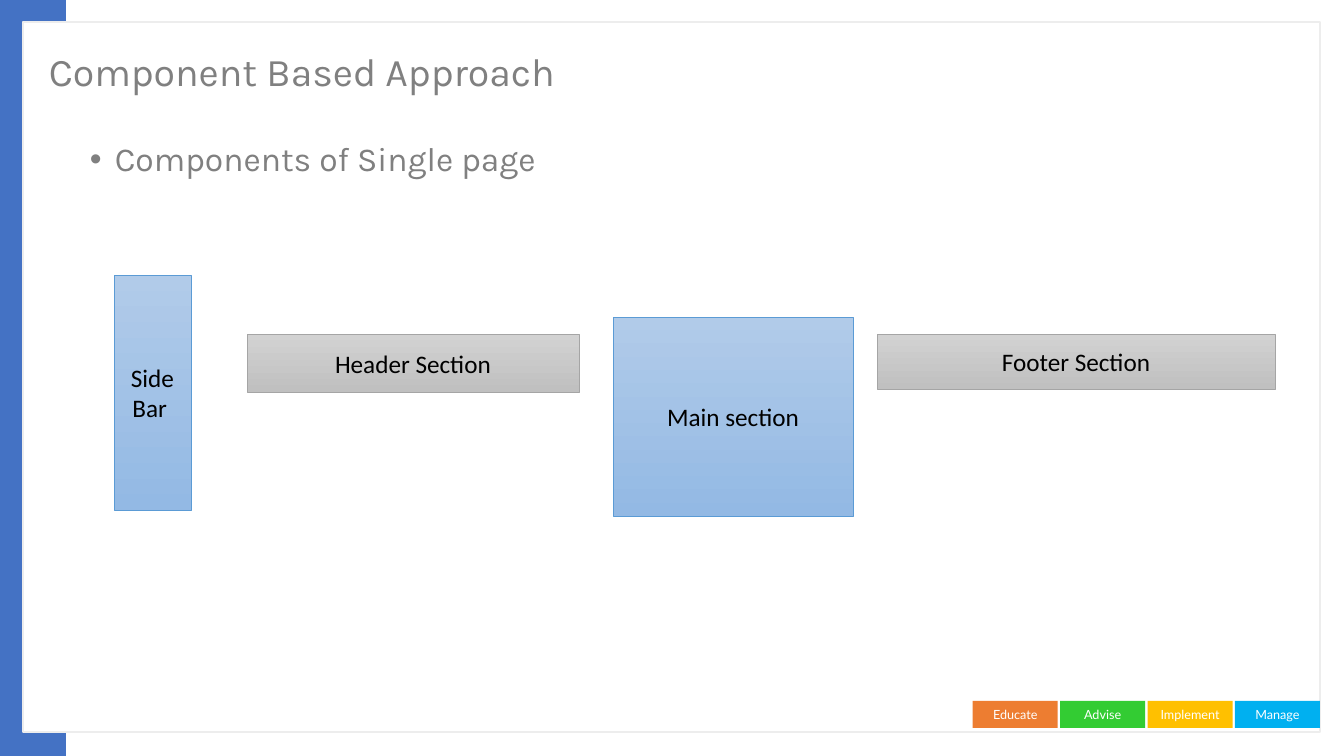
from lxml import etree
from pptx import Presentation
from pptx.dml.color import RGBColor
from pptx.enum.shapes import MSO_SHAPE
from pptx.enum.text import MSO_ANCHOR, PP_ALIGN
from pptx.oxml.ns import qn
from pptx.util import Pt

RECTANGLE = MSO_SHAPE.RECTANGLE
MIDDLE, TOP = MSO_ANCHOR.MIDDLE, MSO_ANCHOR.TOP
CENTER, LEFT = PP_ALIGN.CENTER, PP_ALIGN.LEFT

WHITE = RGBColor(0xFF, 0xFF, 0xFF)
BLACK = RGBColor(0x00, 0x00, 0x00)
GRAY_TEXT = RGBColor(0x80, 0x80, 0x80)
FRAME_LINE = RGBColor(0xED, 0xED, 0xED)
BAND_BLUE = RGBColor(0x44, 0x72, 0xC4)
ORANGE = RGBColor(0xED, 0x7D, 0x31)
GREEN = RGBColor(0x33, 0xCC, 0x33)
YELLOW = RGBColor(0xFF, 0xC0, 0x00)
SKY = RGBColor(0x00, 0xB0, 0xF0)

# Each style: gradient top, gradient bottom, outline
BLUE_STYLE = (RGBColor(0xB1, 0xCB, 0xE9), RGBColor(0x93, 0xB9, 0xE4), RGBColor(0x5B, 0x9B, 0xD5))
GRAY_STYLE = (RGBColor(0xD2, 0xD2, 0xD2), RGBColor(0xC0, 0xC0, 0xC0), RGBColor(0xA5, 0xA5, 0xA5))

TITLE = "Component Based Approach"
BULLET = "Components of Single page"
COMPONENTS = [
    ("Main section", (613, 317, 240, 199), BLUE_STYLE),
    ("Side Bar ", (114, 275, 77, 235), BLUE_STYLE),
    ("Footer Section", (877, 334, 398, 55), GRAY_STYLE),
    ("Header Section", (247, 334, 332, 58), GRAY_STYLE),
]
TILES = [("Educate", ORANGE), ("Advise", GREEN), ("Implement", YELLOW), ("Manage", SKY)]

SLIDE_WIDTH, SLIDE_HEIGHT = 1344, 756
FRAME = (23, 22, 1297, 710)
TILE_WIDTH, TILE_HEIGHT, TILE_GAP, TILE_TOP = 85, 27, 2.4, 701
INDENT = 25
EMU_PER_PIXEL = 914400 / 100.8


def emu(pixels):
    """Turn pixels into EMU."""
    return round(pixels * EMU_PER_PIXEL)


def add_rectangle(page, place, fill=None, line=None, line_width=1):
    """Add a flat rectangle, with an outline only if a line colour is given."""
    box = page.shapes.add_shape(RECTANGLE, *map(emu, place))
    box.shadow.inherit = False
    if fill is not None:
        box.fill.solid()
        box.fill.fore_color.rgb = fill
    if line is None:
        box.line.fill.background()
    else:
        box.line.color.rgb = line
        box.line.width = Pt(line_width)
    return box


def set_text(box, text, *, font, size, color, align=CENTER, anchor=MIDDLE, spacing=None):
    """Write one formatted paragraph into a shape and return it."""
    frame = box.text_frame
    frame.word_wrap = True
    frame.vertical_anchor = anchor
    para = frame.paragraphs[0]
    para.alignment = align
    if spacing:
        para.line_spacing = spacing
    span = para.add_run()
    span.text = text
    span.font.name = font
    span.font.size = Pt(size)
    span.font.color.rgb = color
    return para


def add_bullet(para):
    """Give a paragraph a hanging round bullet."""
    properties = para._p.get_or_add_pPr()
    properties.set("marL", str(emu(INDENT)))
    properties.set("indent", str(-emu(INDENT)))
    font = etree.SubElement(properties, qn("a:buFont"))
    font.set("typeface", "Arial")
    etree.SubElement(properties, qn("a:buChar")).set("char", "•")


def add_background(page):
    """Draw the side band, the frame and the row of tiles at its right edge."""
    add_rectangle(page, (0, 0, 66, SLIDE_HEIGHT), BAND_BLUE)
    add_rectangle(page, FRAME, WHITE, FRAME_LINE)
    step = TILE_WIDTH + TILE_GAP
    first = FRAME[0] + FRAME[2] - len(TILES) * step + TILE_GAP
    for index, (label, color) in enumerate(TILES):
        place = (first + index * step, TILE_TOP, TILE_WIDTH, TILE_HEIGHT)
        tile = add_rectangle(page, place, color)
        set_text(tile, label, font="Lato", size=9, color=WHITE)


def add_headings(page):
    """Add the title and the bulleted line."""
    heading = {"font": "Karla", "color": GRAY_TEXT, "align": LEFT, "spacing": 0.9}
    title = page.shapes.add_textbox(*map(emu, (39, 30, 1040, 88)))
    set_text(title, TITLE, size=28, **heading)
    body = page.shapes.add_textbox(*map(emu, (80, 138, 1217, 557)))
    para = set_text(body, BULLET, size=24, anchor=TOP, **heading)
    para.space_before = Pt(10)
    add_bullet(para)


def add_component(page, label, place, style):
    """Add one page component with a vertical gradient."""
    top, bottom, line = style
    box = add_rectangle(page, place, line=line, line_width=0.5)
    box.fill.gradient()
    box.fill.gradient_angle = 270
    for stop, color in zip(box.fill.gradient_stops, (top, bottom)):
        stop.color.rgb = color
    set_text(box, label, font="Calibri", size=18, color=BLACK)


deck = Presentation()
deck.slide_width, deck.slide_height = emu(SLIDE_WIDTH), emu(SLIDE_HEIGHT)
page = deck.slides.add_slide(deck.slide_layouts[6])
add_background(page)
add_headings(page)
for component in COMPONENTS:
    add_component(page, *component)
deck.save("out.pptx")
